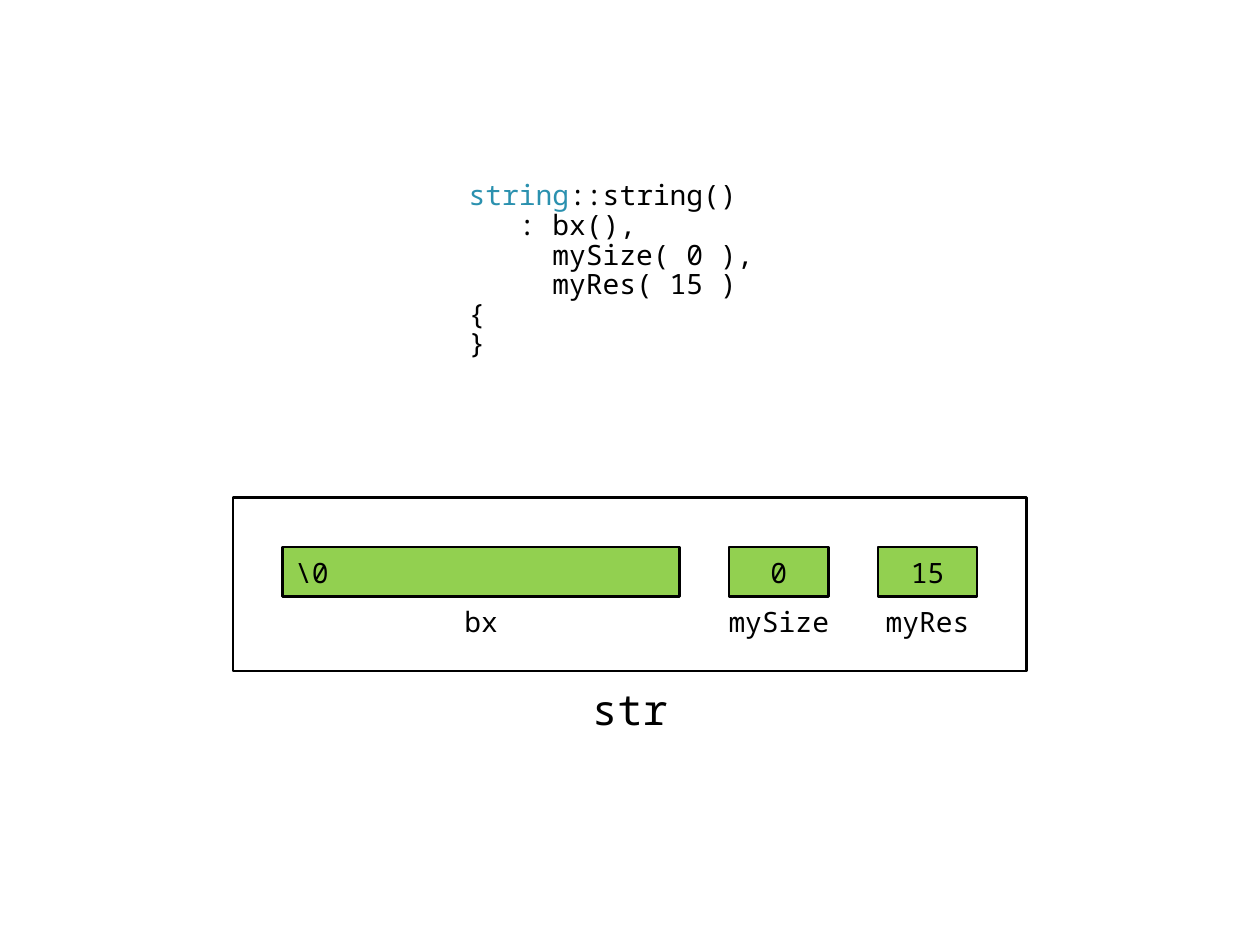
from pptx import Presentation
from pptx.dml.color import RGBColor
from pptx.enum.shapes import MSO_SHAPE
from pptx.enum.text import MSO_ANCHOR, PP_ALIGN
from pptx.util import Cm, Pt

RECTANGLE, PROCESS = MSO_SHAPE.RECTANGLE, MSO_SHAPE.FLOWCHART_PROCESS
LEFT, CENTER = PP_ALIGN.LEFT, PP_ALIGN.CENTER
TOP, MIDDLE = MSO_ANCHOR.TOP, MSO_ANCHOR.MIDDLE

BLACK, WHITE, GREEN, TEAL = "000000", "FFFFFF", "92D050", "2B91AF"

CODE = [
    [("string", TEAL), ("::string()", BLACK)],
    [("   : bx(),", BLACK)],
    [("     mySize( 0 ),", BLACK)],
    [("     myRes( 15 )", BLACK)],
    [("{", BLACK)],
    [("}", BLACK)],
]

# name, value, width, alignment of the value, width of the label
MEMBERS = [
    ("bx", "\\0", 8, LEFT, 2),
    ("mySize", "0", 2, CENTER, 3),
    ("myRes", "15", 2, CENTER, 3),
]
OBJECT_LEFT, OBJECT_TOP, OBJECT_WIDTH, OBJECT_HEIGHT = 4.7, 10.03, 16, 3.5
GAP = ROW_HEIGHT = 1


def color(value):
    return RGBColor.from_string(value)


class Diagram:
    def __init__(self, page, font="Noto Sans Mono", line_width=1.5):
        self.page = page
        self.font = font
        self.line_width = line_width

    def add_lines(self, shape, lines, size=16, align=CENTER, anchor=MIDDLE, spacing=1.0):
        """Fill a shape with lines, each a list of (text, colour) spans."""
        frame = shape.text_frame
        frame.word_wrap = True
        frame.vertical_anchor = anchor
        for index, spans in enumerate(lines):
            para = frame.add_paragraph() if index else frame.paragraphs[0]
            para.alignment = align
            para.line_spacing = spacing
            for text, ink in spans:
                span = para.add_run()
                span.text = text
                style = {"name": self.font, "size": Pt(size)}
                for key, value in style.items():
                    setattr(span.font, key, value)
                span.font.color.rgb = color(ink)

    def text(self, left, top, width, height, lines, **format_values):
        box = self.page.shapes.add_textbox(Cm(left), Cm(top), Cm(width), Cm(height))
        self.add_lines(box, lines, **format_values)

    def block(self, kind, left, top, width, height, fill, text="", align=CENTER):
        shape = self.page.shapes.add_shape(kind, Cm(left), Cm(top), Cm(width), Cm(height))
        shape.shadow.inherit = False
        shape.fill.solid()
        shape.fill.fore_color.rgb = color(fill)
        shape.line.color.rgb = color(BLACK)
        shape.line.width = Pt(self.line_width)
        if text:
            self.add_lines(shape, [[(text, BLACK)]], align=align)

    def label(self, center, top, width, height, text, size=16):
        self.text(center - width / 2, top, width, height, [[(text, BLACK)]], size=size)


def main():
    deck = Presentation()
    deck.slide_width, deck.slide_height = Cm(25.4), Cm(19.05)
    diagram = Diagram(deck.slides.add_slide(deck.slide_layouts[6]))

    diagram.text(9.2, 3.55, 7.4, 4.5, CODE, align=LEFT, anchor=TOP, spacing=0.88)

    diagram.block(PROCESS, OBJECT_LEFT, OBJECT_TOP, OBJECT_WIDTH, OBJECT_HEIGHT, WHITE)
    diagram.label(OBJECT_LEFT + OBJECT_WIDTH / 2, OBJECT_TOP + OBJECT_HEIGHT, 3, 1.5, "str", size=24)

    left, top = OBJECT_LEFT + GAP, OBJECT_TOP + GAP
    for name, value, width, align, label_width in MEMBERS:
        diagram.block(RECTANGLE, left, top, width, ROW_HEIGHT, GREEN, value, align)
        diagram.label(left + width / 2, top + ROW_HEIGHT, label_width, ROW_HEIGHT, name)
        left += width + GAP

    deck.save("out.pptx")


if __name__ == "__main__":
    main()
